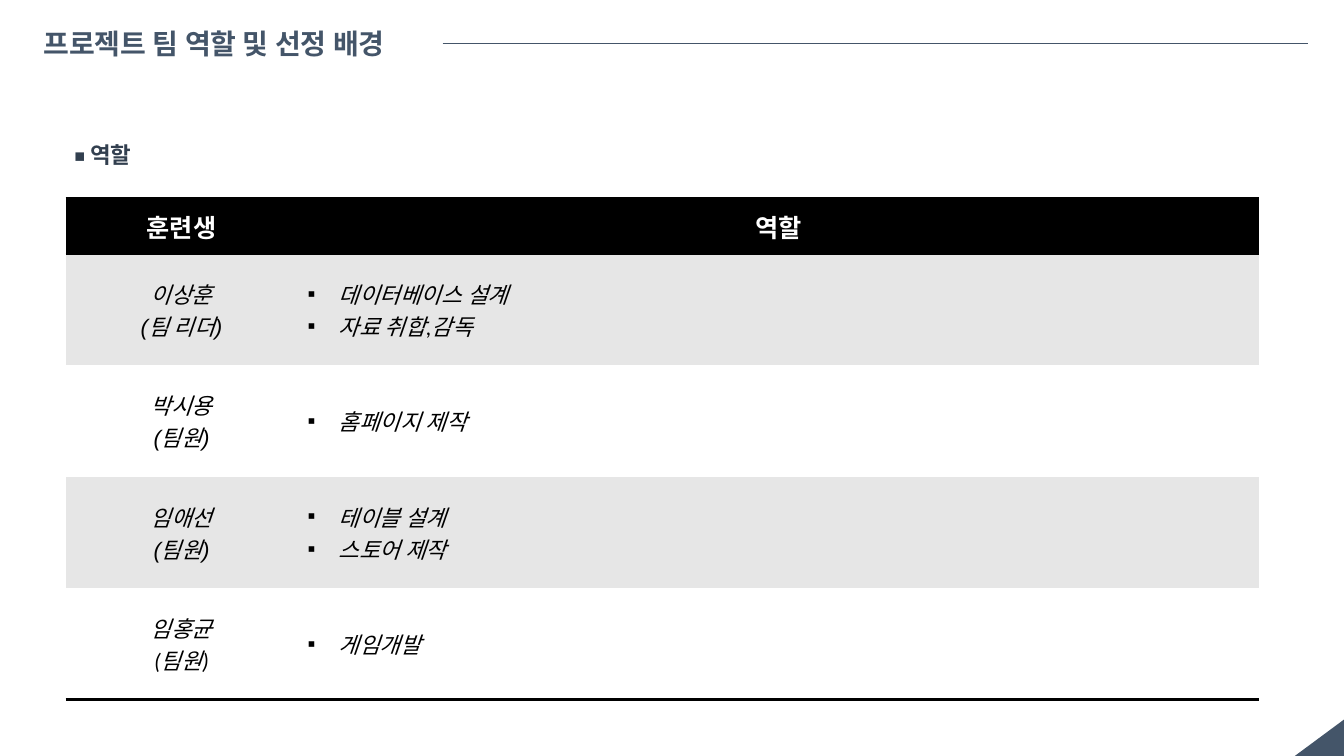
from lxml.etree import SubElement
from pptx import Presentation
from pptx.dml.color import RGBColor
from pptx.enum.shapes import MSO_CONNECTOR, MSO_SHAPE
from pptx.enum.text import MSO_ANCHOR, MSO_AUTO_SIZE, PP_ALIGN
from pptx.oxml import parse_xml
from pptx.oxml.ns import nsdecls, qn
from pptx.util import Inches, Pt

COLORS = {"slate": "445569", "dark": "323F4F", "black": "000000",
          "white": "FFFFFF", "band": "E6E6E6"}
KOREAN = "Noto Sans CJK KR"
TITLE = {"size": Pt(20), "bold": True, "name": "Calibri"}
HEADING = {"size": Pt(16), "bold": True, "name": "Calibri"}
HEADER = {"size": Pt(18), "bold": True, "name": "Arial"}
BODY = {"size": Pt(16), "bold": False, "italic": True}
HEADERS = ["훈련생", "역할"]
MEMBERS = [
    (["이상훈", "(팀 리더)"], "Arial", ["데이터베이스 설계", "자료 취합,감독"], "Calibri"),
    (["박시용", "(팀원)"], "Arial", ["홈페이지 제작"], "Calibri"),
    (["임애선", "(팀원)"], "Arial", ["테이블 설계", "스토어 제작"], KOREAN),
    (["임홍균", "(팀원)"], "Calibri", ["게임개발"], KOREAN),
]
NO_STYLE = "{2D5ABB26-0587-4C30-8999-92F81FD0307C}"


def rgb(key):
    """Return the named colour."""
    return RGBColor.from_string(COLORS[key])


def add_bullet(p):
    """Give a paragraph a black square bullet and a hanging indent."""
    pPr = p._p.get_or_add_pPr()
    pPr.set("marL", str(Inches(0.31)))
    pPr.set("indent", str(-Inches(0.31)))
    color = SubElement(pPr, qn("a:buClr"))
    SubElement(color, qn("a:srgbClr"), val=COLORS["black"])
    SubElement(pPr, qn("a:buFont"), typeface="Arial")
    SubElement(pPr, qn("a:buChar"), char="▪")


def write(tf, lines, color, formats, align=PP_ALIGN.LEFT, bullet=False):
    """Write formatted paragraphs into a text frame."""
    for i, line in enumerate(lines):
        p = tf.paragraphs[0] if i == 0 else tf.add_paragraph()
        p.alignment = align
        if bullet:
            add_bullet(p)
        r = p.add_run()
        r.text = line
        r.font.color.rgb = rgb(color)
        for name, value in formats.items():
            setattr(r.font, name, value)
        SubElement(r._r.get_or_add_rPr(), qn("a:ea"), typeface=KOREAN)


def add_header(s, left, top, width):
    """Place the slide title and the rule to its right."""
    title_width, height = 4.06, 0.44
    sp = s.shapes.title
    sp.left, sp.top = Inches(left), Inches(top)
    sp.width, sp.height = Inches(title_width), Inches(height)
    tf = sp.text_frame
    tf.word_wrap = True
    tf.auto_size = MSO_AUTO_SIZE.NONE
    tf.vertical_anchor = MSO_ANCHOR.TOP
    write(tf, ["프로젝트 팀 역할 및 선정 배경"], "slate", TITLE)
    y = Inches(top + height / 2)
    rule = s.shapes.add_connector(MSO_CONNECTOR.STRAIGHT, Inches(left + title_width), y,
                                  Inches(left + width), y)
    rule.line.color.rgb = rgb("slate")
    rule.line.width = Pt(0.75)
    SubElement(rule._element.spPr, qn("a:effectLst"))


def add_heading(s, left, top, width, height):
    """Place the section heading."""
    sp = s.shapes.add_textbox(Inches(left), Inches(top), Inches(width), Inches(height))
    sp.text_frame.word_wrap = True
    write(sp.text_frame, ["◾ 역할"], "dark", HEADING)


def fill_cell(cell, fill, edges=()):
    """Fill a cell, centre it vertically and draw the given edges."""
    cell.vertical_anchor = MSO_ANCHOR.MIDDLE
    cell.fill.solid()
    cell.fill.fore_color.rgb = rgb(fill)
    for i, edge in enumerate(edges):
        cell._tc.get_or_add_tcPr().insert(i, parse_xml(
            f'<a:{edge} {nsdecls("a")} w="{Pt(2)}"><a:solidFill>'
            f'<a:srgbClr val="{COLORS["black"]}"/></a:solidFill></a:{edge}>'))


def add_roles(s, left, top, width, height):
    """Place the table of members and their roles."""
    name_width, header_height = 2.3, 0.55
    frame = s.shapes.add_table(len(MEMBERS) + 1, 2, Inches(left), Inches(top),
                               Inches(width), Inches(height))
    table = frame.table
    table._tbl.tblPr.find(qn("a:tableStyleId")).text = NO_STYLE
    table.horz_banding = False
    table.columns[0].width = Inches(name_width)
    table.columns[1].width = Inches(width - name_width)
    for i, row in enumerate(table.rows):
        row.height = Inches((height - header_height) / len(MEMBERS) if i else header_height)
    for j, text in enumerate(HEADERS):
        cell = table.cell(0, j)
        fill_cell(cell, "black", ["lnT", "lnB"])
        write(cell.text_frame, [text], "white", HEADER, PP_ALIGN.CENTER)
    for i, (member, member_font, roles, role_font) in enumerate(MEMBERS, 1):
        name, role = table.cell(i, 0), table.cell(i, 1)
        for cell in (name, role):
            fill_cell(cell, "band" if i % 2 else "white",
                      ["lnB"] if i == len(MEMBERS) else [])
        write(name.text_frame, member, "black", {**BODY, "name": member_font},
              PP_ALIGN.CENTER)
        write(role.text_frame, roles, "black", {**BODY, "name": role_font}, bullet=True)


def add_corner(s, left, top, width, height):
    """Place the triangle in the bottom right corner."""
    sp = s.shapes.add_shape(MSO_SHAPE.RIGHT_TRIANGLE, Inches(left), Inches(top),
                            Inches(width), Inches(height))
    sp.rotation = 270
    sp.shadow.inherit = False
    sp.fill.solid()
    sp.fill.fore_color.rgb = rgb("slate")
    sp.line.fill.background()


def main():
    """Build and save the slide."""
    prs = Presentation()
    prs.slide_width, prs.slide_height = Inches(13.33), Inches(7.5)
    s = prs.slides.add_slide(prs.slide_layouts[5])
    add_corner(s, 12.9, 7.07, 0.37, 0.5)
    add_header(s, 0.33, 0.21, 12.64)
    add_heading(s, 0.64, 1.35, 9.84, 0.37)
    add_roles(s, 0.65, 1.97, 11.84, 4.97)
    prs.save("out.pptx")


if __name__ == "__main__":
    main()
